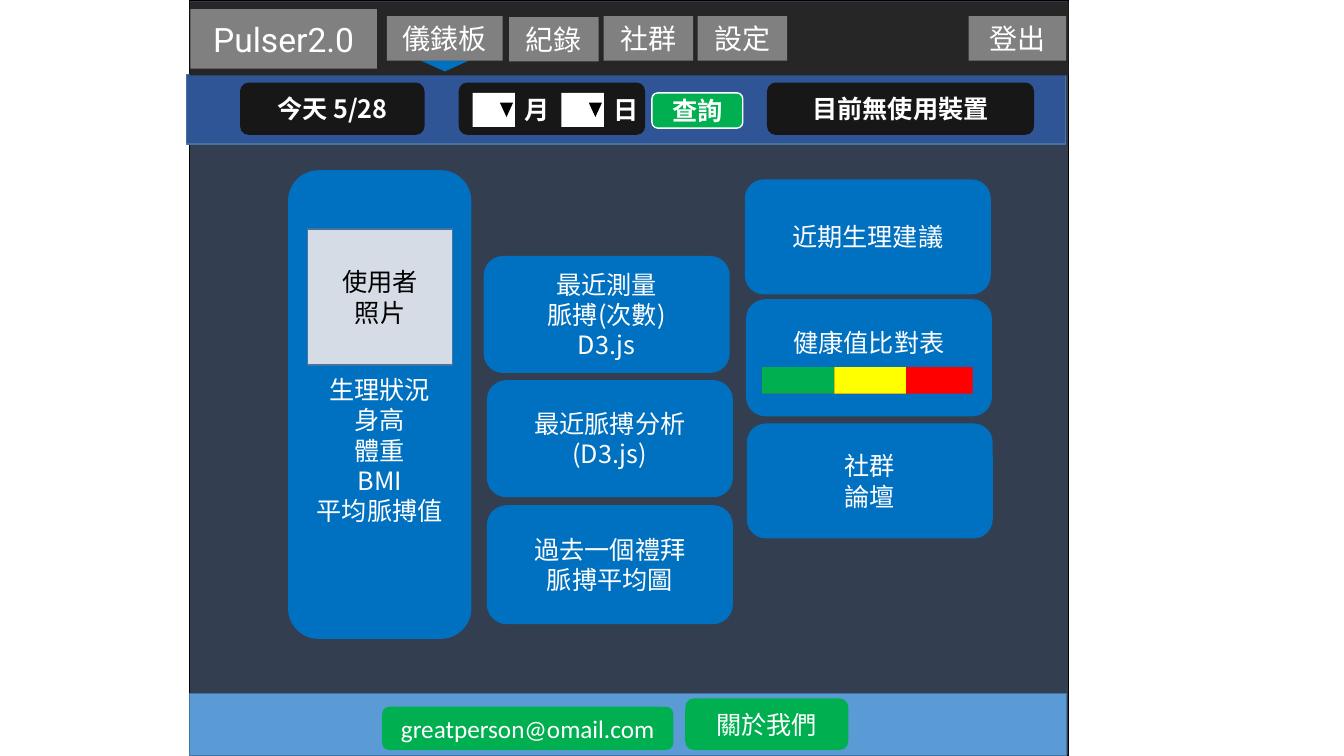
from dataclasses import dataclass

import lxml.etree
import pptx
import pptx.dml.color
import pptx.enum.shapes
import pptx.enum.text
import pptx.oxml.ns
import pptx.util

Cm = pptx.util.Cm
MSO = pptx.enum.shapes.MSO_SHAPE
RECT, ROUND = MSO.RECTANGLE, MSO.ROUNDED_RECTANGLE
CJK = "Noto Sans CJK SC"
WHITE, BLACK, BLUE, GREEN = "FFFFFF", "000000", "0070C0", "00B050"
GRAY, DARK, EDGE = "808080", "181717", "43739E"


@dataclass
class Box:
    x: float
    y: float
    w: float
    h: float
    fill: str = ""
    text: str = ""
    kind: MSO = RECT
    line: str = ""
    color: str = WHITE
    size: int = 18
    bold: bool = False
    font: str = CJK
    top: float = 0.13
    bottom: float = 0.13
    rotation: int = 0


def rgb(value: str) -> pptx.dml.color.RGBColor:
    return pptx.dml.color.RGBColor.from_string(value)


def apply(target, values: dict) -> None:
    for name, value in values.items():
        setattr(target, name, value)


def write(sp, box: Box) -> None:
    tf = sp.text_frame
    apply(tf, {
        "word_wrap": True,
        "vertical_anchor": pptx.enum.text.MSO_ANCHOR.MIDDLE,
        "margin_left": 0,
        "margin_right": 0,
        "margin_top": Cm(box.top),
        "margin_bottom": Cm(box.bottom),
    })
    for i, line in enumerate(box.text.split("\n")):
        p = tf.add_paragraph() if i else tf.paragraphs[0]
        p.alignment = pptx.enum.text.PP_ALIGN.CENTER
        r = p.add_run()
        r.text = line
        apply(r.font, {"name": box.font, "size": pptx.util.Pt(box.size), "bold": box.bold})
        r.font.color.rgb = rgb(box.color)
    qn = pptx.oxml.ns.qn
    for props in sp.element.iter(qn("a:rPr")):
        lxml.etree.SubElement(props, qn("a:ea"), typeface=CJK)


def draw(s, box: Box) -> None:
    place = [Cm(v) for v in (box.x, box.y, box.w, box.h)]
    if box.fill:
        sp = s.shapes.add_shape(box.kind, *place)
        sp.shadow.inherit = False
        sp.rotation = box.rotation
        sp.fill.solid()
        sp.fill.fore_color.rgb = rgb(box.fill)
        if box.line:
            sp.line.color.rgb = rgb(box.line)
            sp.line.width = pptx.util.Pt(1)
        else:
            sp.line.fill.background()
    else:
        sp = s.shapes.add_textbox(*place)
    if box.text:
        write(sp, box)


def date_bar() -> list[Box]:
    boxes = [
        Box(4.7, 1.88, 22.15, 1.75, "2F5597", line=EDGE),
        Box(6.05, 2.08, 4.65, 1.32, DARK, "今天 5/28", ROUND, bold=True),
        Box(16.43, 2.34, 2.29, 0.89, GREEN, "查詢", ROUND, WHITE, bold=True),
        Box(11.56, 2.08, 4.7, 1.32, DARK, kind=ROUND),
        Box(19.33, 2.08, 6.73, 1.32, DARK, "目前無使用裝置", ROUND, bold=True),
    ]
    for x, unit in ((11.91, "月"), (14.15, "日")):
        boxes += [
            Box(x, 2.34, 1.07, 0.86, WHITE),
            Box(x + 1.12, 2.34, 1.0, 0.86, text=unit, bold=True),
            Box(x + 0.69, 2.59, 0.33, 0.36, BLACK, kind=MSO.FLOWCHART_MERGE),
        ]
    return boxes


def navigation() -> list[Box]:
    tabs = [
        (9.75, 0.41, 2.92, "儀錶板"),
        (12.83, 0.43, 2.26, "紀錄"),
        (15.21, 0.41, 2.26, "社群"),
        (17.58, 0.41, 2.26, "設定"),
        (24.41, 0.41, 2.46, "登出"),
    ]
    return [
        Box(4.78, 0.05, 22.15, 1.85, "262626"),
        Box(4.8, 0.23, 4.7, 1.5, GRAY, "Pulser2.0", size=24, font="Roboto"),
        Box(10.59, 1.52, 1.24, 0.28, BLUE, kind=MSO.ISOSCELES_TRIANGLE, rotation=180),
        *[Box(x, y, w, 1.12, GRAY, text, size=20) for x, y, w, text in tabs],
    ]


def dashboard() -> list[Box]:
    cards = [
        (12.19, 6.45, 2.95, "最近測量\n脈搏(次數)\nD3.js", 0.13),
        (12.27, 9.58, 2.95, "最近脈搏分析\n(D3.js)", 0.13),
        (12.27, 12.73, 3.0, "過去一個禮拜\n脈搏平均圖", 0.13),
        (18.77, 4.52, 2.9, "近期生理建議", 0.13),
        (18.8, 7.54, 2.95, "健康值比對表", 0.89),
        (18.82, 10.67, 2.9, "社群\n論壇", 0.13),
    ]
    levels = [(19.2, 5.31, "FF0000"), (19.2, 1.83, GREEN), (21.03, 1.8, "FFFF00")]
    profile = "生理狀況\n身高\n體重\nBMI\n平均脈搏值"
    return [
        Box(7.26, 4.29, 4.62, 11.81, BLUE, profile, ROUND, top=2.42),
        Box(7.75, 5.77, 3.66, 3.43, "D6DCE5", "使用者\n照片", line=EDGE, color=BLACK),
        *[Box(x, y, 6.2, h, BLUE, text, ROUND, bottom=b) for x, y, h, text, b in cards],
        *[Box(x, 9.25, w, 0.67, fill) for x, w, fill in levels],
    ]


def footer() -> list[Box]:
    return [
        Box(4.78, 17.48, 22.1, 1.57, "5B9BD5", line=EDGE),
        Box(9.63, 17.81, 7.34, 1.09, GREEN, "greatperson@omail.com", ROUND, font="Calibri"),
        Box(17.27, 17.6, 4.11, 1.3, GREEN, "關於我們", ROUND),
    ]


def main() -> None:
    prs = pptx.Presentation()
    apply(prs, {"slide_width": Cm(33.87), "slide_height": Cm(19.05)})
    s = prs.slides.add_slide(prs.slide_layouts[6])
    page = Box(4.78, 0, 22.15, 19.05, "333F50", line=BLACK)
    for box in [page, *date_bar(), *navigation(), *dashboard(), *footer()]:
        draw(s, box)
    prs.save("out.pptx")


if __name__ == "__main__":
    main()
